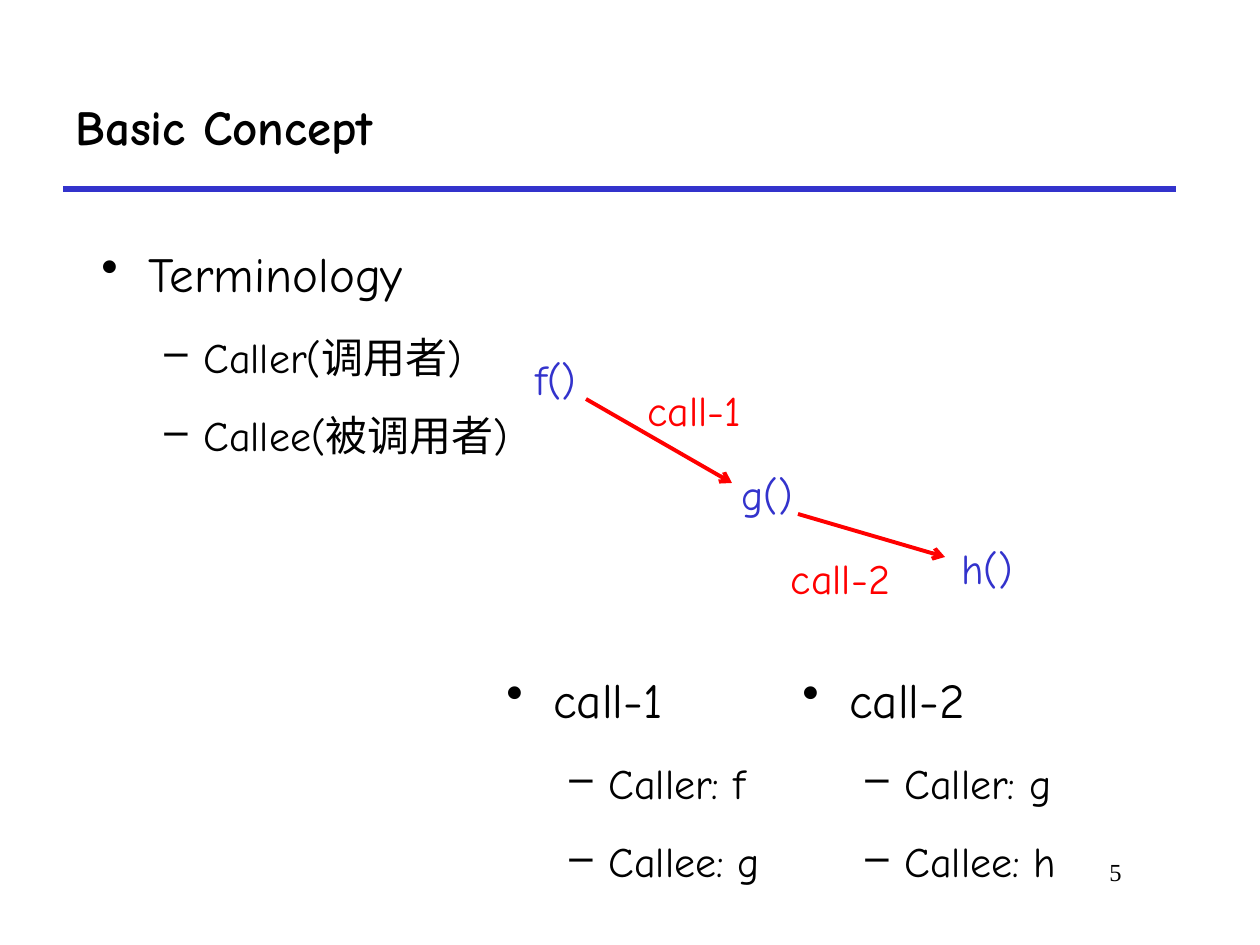
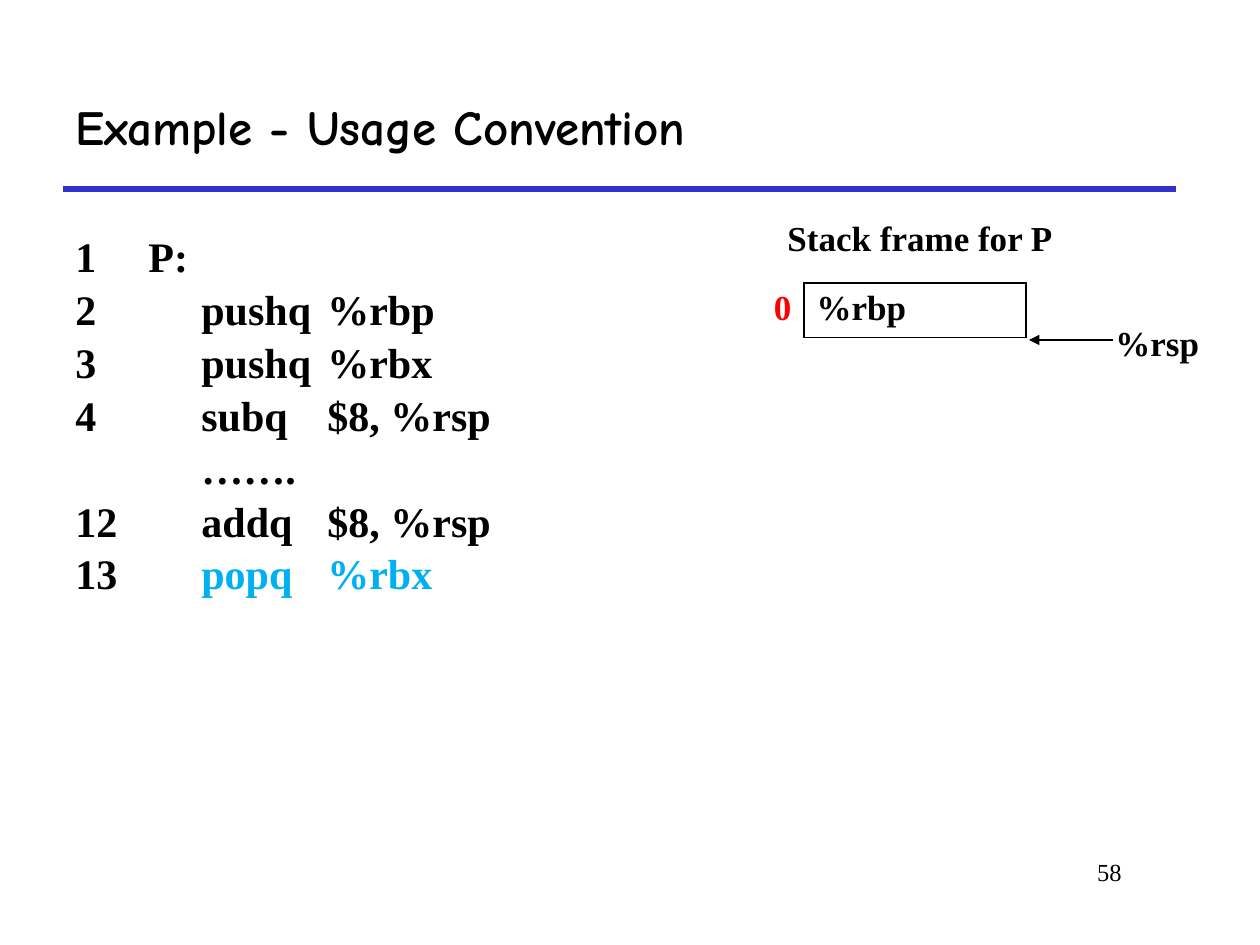
from lxml import etree
from pptx import Presentation
from pptx.dml.color import RGBColor
from pptx.enum.shapes import MSO_CONNECTOR
from pptx.enum.text import MSO_ANCHOR, PP_ALIGN
from pptx.oxml.ns import qn
from pptx.util import Emu, Pt

BLACK = RGBColor(0x00, 0x00, 0x00)
BLUE = RGBColor(0x33, 0x33, 0xCC)
RED = RGBColor(0xFF, 0x00, 0x00)
SKY = RGBColor(0x00, 0xB0, 0xF0)
COMIC = "Comic Neue"
TIMES = "Times New Roman"
PX = 914400 / 126


def add_text(slide, box, lines, size, font=COMIC, color=BLACK, bold=False,
             align=PP_ALIGN.LEFT, wrap=True):
    """Add a text box at box (left, top, width, height in px) and return its frame."""
    frame = slide.shapes.add_textbox(*(Emu(round(n * PX)) for n in box)).text_frame
    frame.word_wrap = wrap
    frame.text = "\n".join(lines)
    for paragraph in frame.paragraphs:
        paragraph.alignment = align
        for run in paragraph.runs:
            run.font.size = Pt(size)
            run.font.name = font
            run.font.bold = bold
            run.font.color.rgb = color
    return frame


def add_line(slide, ends, color, width, head=None):
    """Draw a line between ends (x1, y1, x2, y2 in px), with an optional arrowhead."""
    line = slide.shapes.add_connector(
        MSO_CONNECTOR.STRAIGHT, *(Emu(round(n * PX)) for n in ends))
    line.line.color.rgb = color
    line.line.width = Pt(width)
    if head:
        etree.SubElement(line.line._get_or_add_ln(), qn("a:tailEnd"), type=head)
    etree.SubElement(line._element.spPr, qn("a:effectLst"))


deck = Presentation()
deck.slide_width = Emu(round(1260 * PX))
deck.slide_height = Emu(round(945 * PX))

# Title, rule and page number of every slide
slides = []
for title, page in (("Basic Concept", "5"), ("Example - Usage Convention", "58")):
    slide = deck.slides.add_slide(deck.slide_layouts[6])
    add_line(slide, (63, 189, 1176, 189), BLUE, 3)
    heading = add_text(slide, (63, 63, 1113, 126), [title], 28, bold=True)
    heading.vertical_anchor = MSO_ANCHOR.MIDDLE
    add_text(slide, (955, 851, 179, 63), [page], 14, TIMES, align=PP_ALIGN.RIGHT)
    slides.append(slide)
concept, example = slides

# Basic Concept: a topic with two sub-points in each list
for box, topic, caller, callee in (
    ((89, 214, 1124, 640), "Terminology", "Caller(调用者)", "Callee(被调用者)"),
    ((494, 640, 344, 252), "call-1", "Caller: f", "Callee: g"),
    ((790, 640, 344, 252), "call-2", "Caller: g", "Callee: h"),
):
    points = add_text(concept, box, [topic, caller, callee], 24)
    for i, point in enumerate(points.paragraphs):
        point.line_spacing = 1.4
        if i == 0:
            point.runs[0].font.size = Pt(28)
            margin, hanging, bullet = 47, 47, "•"
        else:
            point.level = 1
            point.space_before = Pt(4.8)
            margin, hanging, bullet = 102, 39, "–"
        properties = point._p.get_or_add_pPr()
        properties.set("marL", str(round(margin * PX)))
        properties.set("indent", str(round(-hanging * PX)))
        etree.SubElement(properties, qn("a:buChar"), char=bullet)

# Call chain f -> g -> h
for left, top, width, label, color in (
    (514, 347, 84, "f()", BLUE),
    (725, 462, 84, "g()", BLUE),
    (945, 536, 84, "h()", BLUE),
    (599, 378, 191, "call-1", RED),
    (746, 546, 189, "call-2", RED),
):
    add_text(concept, (left, top, width, 64), [label], 24, color=color,
             align=PP_ALIGN.CENTER)
for call in ((586, 399, 732, 483), (798, 514, 945, 557)):
    add_line(concept, call, RED, 2.25, "arrow")

# Example: assembly listing in tabbed columns
listing = (
    "1\tP:",
    "2\tpushq\t%rbp",
    "3\tpushq\t%rbx",
    "4\tsubq\t$8, %rsp",
    "\t…….",
    "12\taddq\t$8, %rsp",
    "13\t",
)
code = add_text(example, (63, 222, 1092, 640), listing, 24, TIMES, bold=True)
for i, instruction in enumerate(code.paragraphs):
    instruction.line_spacing = 1.05
    tabs = etree.SubElement(instruction._p.get_or_add_pPr(), qn("a:tabLst"))
    for stop in ((73,) if i == 0 else (126, 252)):
        etree.SubElement(tabs, qn("a:tab"), pos=str(round(stop * PX)), algn="l")
current = code.paragraphs[-1].add_run()
current.text = "popq\t%rbx"
current.font.size = Pt(24)
current.font.name = TIMES
current.font.bold = True
current.font.color.rgb = SKY

# Stack frame of P
add_text(example, (735, 210, 370, 54), ["Stack frame for P"], 20, TIMES, bold=True,
         align=PP_ALIGN.CENTER)
stack = example.shapes.add_table(
    1, 2, *(Emu(round(n * PX)) for n in (711, 283, 315, 54))).table
stack.first_row = False
stack.horz_banding = False
for column, (width, content, color, align, drawn) in enumerate((
    (93, "0", RED, PP_ALIGN.RIGHT, ("R",)),
    (222, "%rbp", BLACK, PP_ALIGN.LEFT, ("L", "R", "T", "B")),
)):
    stack.columns[column].width = Emu(round(width * PX))
    cell = stack.cell(0, column)
    cell.text_frame.text = content
    entry = cell.text_frame.paragraphs[0]
    entry.alignment = align
    font = entry.runs[0].font
    font.size = Pt(20)
    font.name = TIMES
    font.bold = True
    font.color.rgb = color
    borders = cell._tc.get_or_add_tcPr()
    for side in ("L", "R", "T", "B"):
        border = etree.SubElement(borders, qn(f"a:ln{side}"), w=str(Pt(1)))
        if side in drawn:
            paint = etree.SubElement(border, qn("a:solidFill"))
            etree.SubElement(paint, qn("a:srgbClr"), val=str(BLACK))
        else:
            etree.SubElement(border, qn("a:noFill"))
    cell.fill.background()

add_text(example, (1103, 315, 110, 55), ["%rsp"], 20, TIMES, bold=True, wrap=False)
add_line(example, (1113, 340, 1029, 340), BLACK, 0.75, "triangle")

deck.save("out.pptx")
